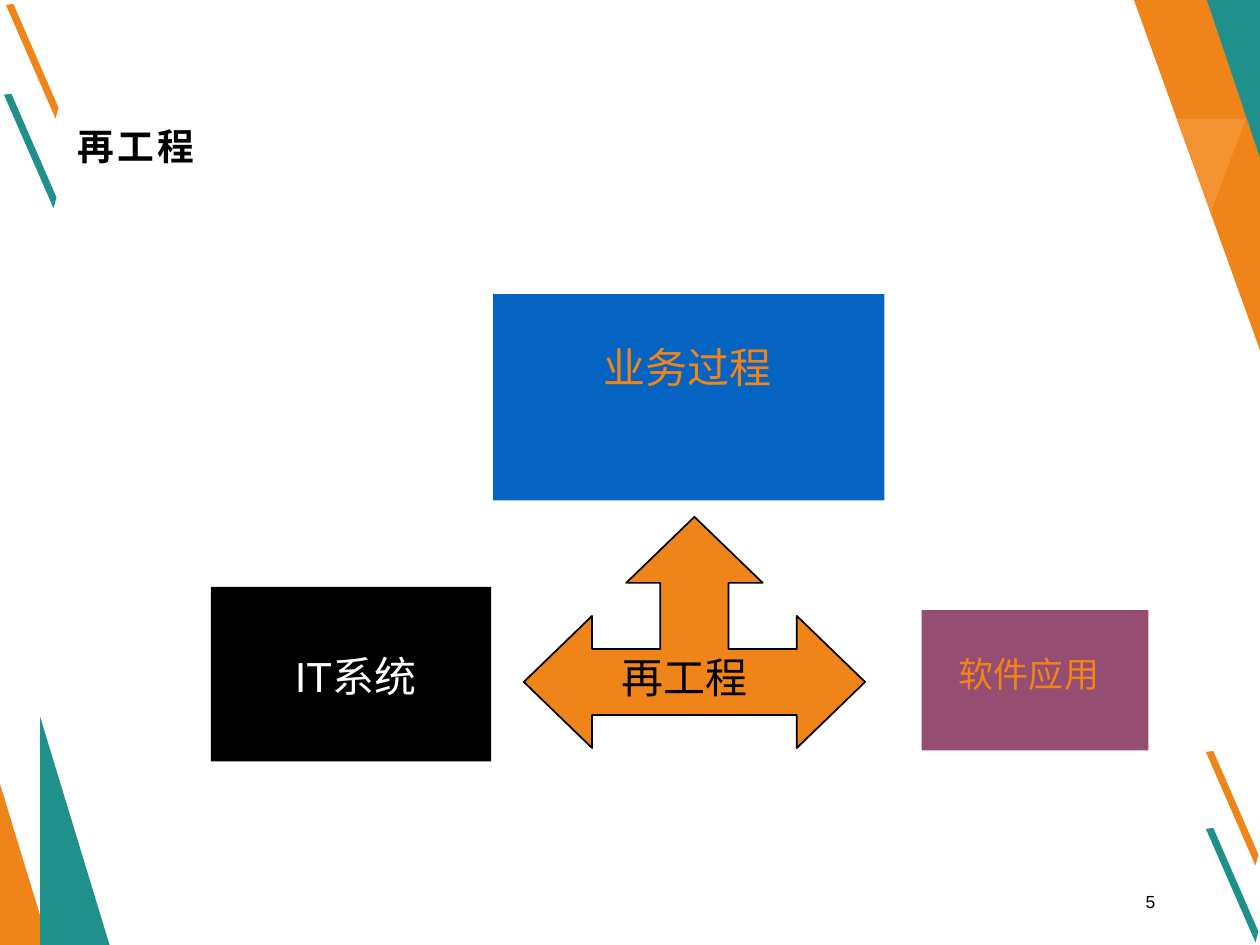
"""Build the slide on re-engineering with its three linked blocks."""
from dataclasses import dataclass

from pptx import Presentation
from pptx.dml.color import RGBColor
from pptx.enum.shapes import MSO_SHAPE
from pptx.enum.text import MSO_ANCHOR, PP_ALIGN
from pptx.util import Cm, Pt

RECT, WEDGE = MSO_SHAPE.RECTANGLE, MSO_SHAPE.ISOSCELES_TRIANGLE
LEFT, MID, RIGHT = PP_ALIGN.LEFT, PP_ALIGN.CENTER, PP_ALIGN.RIGHT
TOP, LOW = MSO_ANCHOR.TOP, MSO_ANCHOR.BOTTOM


@dataclass(frozen=True)
class Theme:
    orange: RGBColor = RGBColor.from_string("EF8519")
    light: RGBColor = RGBColor.from_string("F39231")
    teal: RGBColor = RGBColor.from_string("20908A")
    blue: RGBColor = RGBColor.from_string("0563C1")
    plum: RGBColor = RGBColor.from_string("954D72")
    black: RGBColor = RGBColor.from_string("000000")
    white: RGBColor = RGBColor.from_string("FFFFFF")
    head: Pt = Pt(21)
    large: Pt = Pt(24)
    small: Pt = Pt(20)
    page: Pt = Pt(10)
    sans: str = "Arial"
    cjk: str = "Noto Sans CJK SC"


theme = Theme()
deck = Presentation()
deck.slide_width, deck.slide_height = Cm(25.4), Cm(19.05)
slide = deck.slides.add_slide(deck.slide_layouts[5])
shapes = slide.shapes


def paint(shape, fill):
    shape.shadow.inherit = False
    shape.fill.solid()
    shape.fill.fore_color.rgb = fill
    shape.line.fill.background()
    return shape


def outline(points, fill):
    spots = [(Cm(x), Cm(y)) for x, y in points]
    pen = shapes.build_freeform(*spots[0])
    pen.add_line_segments(spots[1:], close=True)
    return paint(pen.convert_to_shape(), fill)


slash = [(0, 0), (0.15, -0.02), (1.06, 2.07), (1, 2.29)]
for left, top, fill in [
    (24.31, 15.16, theme.orange),
    (0.08, 1.91, theme.teal),
    (0.12, 0.1, theme.orange),
    (24.31, 16.71, theme.teal),
]:
    outline([(left + x, top + y) for x, y in slash], fill)

outline([(22.86, 0), (25.4, 0), (25.4, 7.06)], theme.orange)
outline([(24.33, 0), (25.4, 0), (25.4, 3.18)], theme.teal)
outline([(25.12, 2.39), (24.41, 4.27), (23.72, 2.39)], theme.light)

for left, top, width, fill in [
    (0, 15.8, 0.99, theme.orange),
    (0.81, 14.45, 1.4, theme.teal),
]:
    box = [Cm(n) for n in (left, top, width, 19.05 - top)]
    wedge = paint(shapes.add_shape(WEDGE, *box), fill)
    wedge.adjustments[0] = 0

for *box, fill in [
    (9.94, 5.93, 7.89, 4.16, theme.blue),
    (4.25, 11.83, 5.65, 3.52, theme.black),
    (18.58, 12.3, 4.57, 2.83, theme.plum),
]:
    paint(shapes.add_shape(RECT, *[Cm(n) for n in box]), fill)

half = [(0, 0), (2, 2), (1, 2), (1, 4), (3, 4), (3, 3), (5, 5), (3, 7), (3, 6)]
grid = half + [(-x, y) for x, y in half[:0:-1]]
step, rise = 6.88 / 10, 4.66 / 7
arrow = outline([(14 + x * step, 10.42 + y * rise) for x, y in grid], theme.orange)
arrow.line.color.rgb = theme.black
arrow.line.width = Pt(1)

title = shapes.title
title.left, title.top, title.width, title.height = Cm(1.3), Cm(1.12), Cm(22.81), Cm(2.39)
title.text_frame.vertical_anchor = LOW
title.text_frame.text = "再工程"
para = title.text_frame.paragraphs[0]
para.alignment = LEFT
font = para.font
font.name, font.size, font.bold = theme.cjk, theme.head, True
font.color.rgb = theme.black
para.runs[0].font._element.set("spc", "200")

for text, *box, size, color, align, anchor, wrap, lead in [
    ("业务过程", 11.91, 6.88, 3.89, 1.19, theme.large, theme.orange, MID, TOP, False, 0.9),
    ("IT系统", 5.69, 13.11, 2.95, 1.22, theme.large, theme.white, MID, TOP, True, 0.9),
    ("软件应用", 19.08, 13.13, 3.33, 1.02, theme.small, theme.orange, MID, TOP, False, 0.9),
    ("再工程", 12.27, 13.13, 3.05, 1.19, theme.large, theme.black, MID, TOP, False, 0.9),
    ("5", 17.93, 17.63, 5.61, 0.89, theme.page, theme.black, RIGHT, LOW, True, 1.0),
]:
    frame = shapes.add_textbox(*[Cm(n) for n in box]).text_frame
    frame.word_wrap, frame.vertical_anchor = wrap, anchor
    frame.text = text
    para = frame.paragraphs[0]
    para.alignment, para.line_spacing = align, lead
    para.font.name, para.font.size = theme.sans, size
    para.font.color.rgb = color

deck.save("out.pptx")
